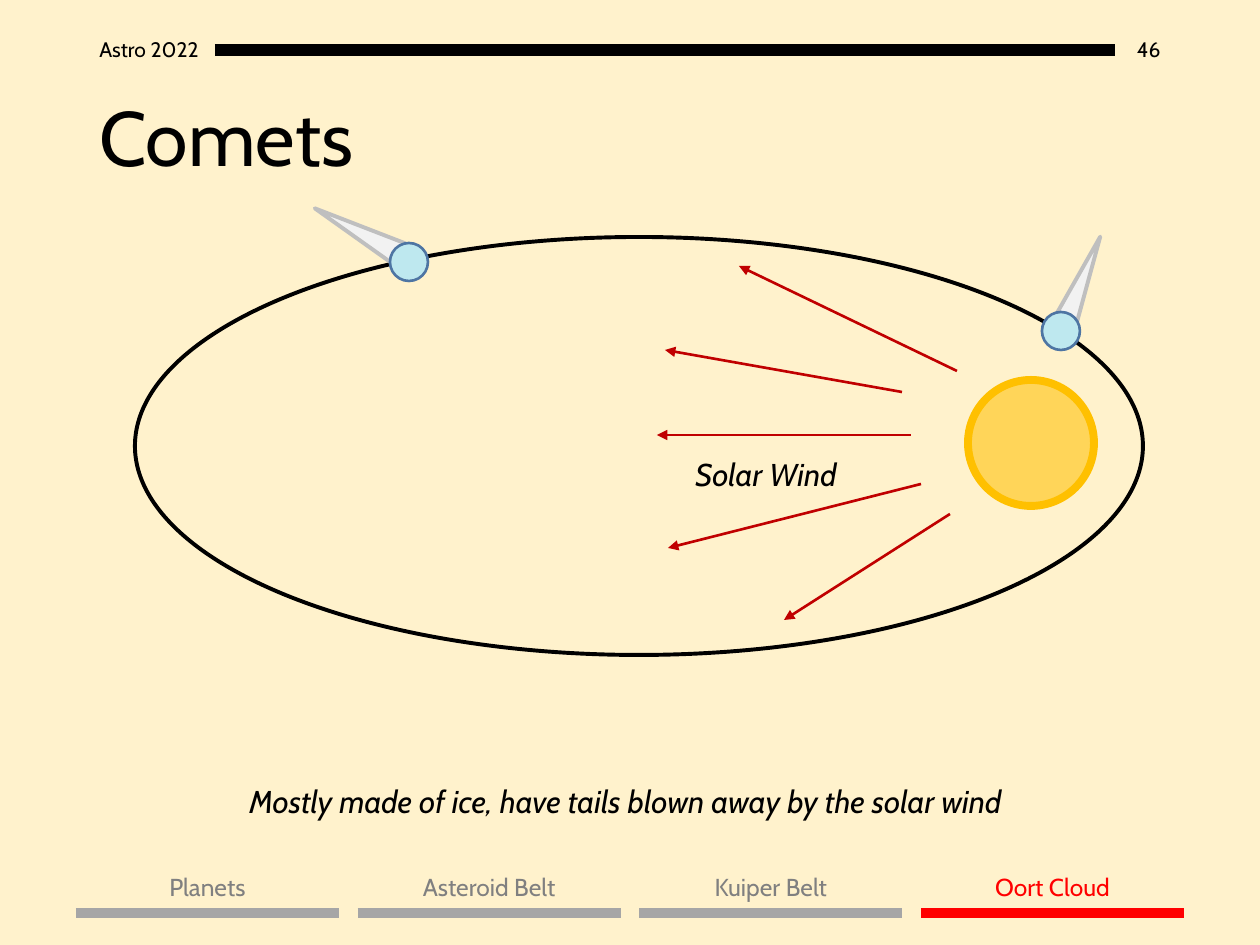
import pptx
import pptx.util
import pptx.dml.color
import pptx.enum.shapes
import pptx.enum.text
import pptx.oxml.ns
from lxml import etree

PX = 914400 / 126
SHAPE = pptx.enum.shapes.MSO_SHAPE
ALIGN = pptx.enum.text.PP_ALIGN
MIDDLE = pptx.enum.text.MSO_ANCHOR.MIDDLE
COLORS = {
    "background": "FFF2CC", "ink": "000000", "sun": "FFD559", "sun rim": "FFC000",
    "ice": "BEE8EF", "ice rim": "4E75A3", "tail": "F2F2F2", "tail rim": "BFBFBF",
    "wind": "C00000", "nav text": "808080", "nav bar": "A6A6A6", "active": "FF0000",
}
RGB = {k: pptx.dml.color.RGBColor.from_string(v) for k, v in COLORS.items()}

prs = pptx.Presentation()
prs.slide_width, prs.slide_height = (round(v * PX) for v in (1260, 945))
s = prs.slides.add_slide(prs.slide_layouts[5])
s.background.fill.solid()
s.background.fill.fore_color.rgb = RGB["background"]


def add_text(text, box, size, color="ink", align=ALIGN.LEFT, wrap=False, italic=False, sp=None):
    x, y, w, h = (round(v * PX) for v in box)
    if sp is None:
        sp = s.shapes.add_textbox(x, y, w, h)
    sp.left, sp.top, sp.width, sp.height = x, y, w, h
    tf = sp.text_frame
    tf.word_wrap = wrap
    tf.vertical_anchor = MIDDLE
    p = tf.paragraphs[0]
    p.alignment = align
    r = p.add_run()
    r.text = text
    style = {"name": "Cabin", "size": pptx.util.Pt(size), "italic": italic}
    for name, value in style.items():
        setattr(r.font, name, value)
    r.font.color.rgb = RGB[color]
    return p


def add_line(ends, color, width, arrow=False):
    line = s.shapes.add_connector(pptx.enum.shapes.MSO_CONNECTOR.STRAIGHT,
                                  *(round(v * PX) for v in ends))
    line.line.color.rgb = RGB[color]
    line.line.width = pptx.util.Pt(width)
    if arrow:
        etree.SubElement(line.line._get_or_add_ln(), pptx.oxml.ns.qn("a:tailEnd"), type="triangle")
    etree.SubElement(line._element.spPr, pptx.oxml.ns.qn("a:effectLst"))


# Header
add_text("46", (1115, 24, 58, 50), 12, align=ALIGN.RIGHT, wrap=True)
add_line((215, 50, 1115, 50), "ink", 7)
add_text("Astro 2022", (87, 24, 128, 50), 12, wrap=True)

# Title
p = add_text("Comets", (87, 50, 1086, 183), 44, wrap=True, sp=s.shapes.title)
p.line_spacing = 0.9

# Navigation bar, last section active
for i, label in enumerate(["Planets", "Asteroid Belt", "Kuiper Belt", "Oort Cloud"]):
    x = 76 + 281.7 * i
    active = label == "Oort Cloud"
    add_line((x, 913, x + 263, 913), "active" if active else "nav bar", 6)
    add_text(label, (x, 865, 263, 43), 14, "active" if active else "nav text", ALIGN.CENTER)

# Sun, orbit and two comets, each a tail behind a nucleus
bodies = [
    (SHAPE.OVAL, (968, 380, 126, 126), 0, "sun", "sun rim", 4.5),
    (SHAPE.OVAL, (135, 237, 1008, 418), 0, None, "ink", 2.25),
]
for tail_x, tail_y, angle, x, y in [(345, 183, 298.3, 390, 243), (1070, 233, 22.4, 1042, 312)]:
    bodies += [
        (SHAPE.ISOSCELES_TRIANGLE, (tail_x, tail_y, 24, 96), angle, "tail", "tail rim", 2.25),
        (SHAPE.OVAL, (x, y, 38, 38), 0, "ice", "ice rim", 1.5),
    ]
for kind, box, angle, fill, rim, width in bodies:
    sp = s.shapes.add_shape(kind, *(round(v * PX) for v in box))
    sp.shadow.inherit = False
    sp.rotation = angle
    if fill:
        sp.fill.solid()
        sp.fill.fore_color.rgb = RGB[fill]
    else:
        sp.fill.background()
    sp.line.color.rgb = RGB[rim]
    sp.line.width = pptx.util.Pt(width)

# Solar wind
for ends in [(902, 392, 665, 350), (911, 435, 657, 435), (921, 484, 668, 548),
             (950, 514, 784, 620), (957, 371, 739, 266)]:
    add_line(ends, "wind", 1.5, arrow=True)
add_text("Solar Wind", (683, 449, 173, 50), 18, italic=True)

# Caption
add_text("Mostly made of ice, have tails blown away by the solar wind",
         (237, 776, 828, 50), 18, italic=True)

prs.save("out.pptx")
